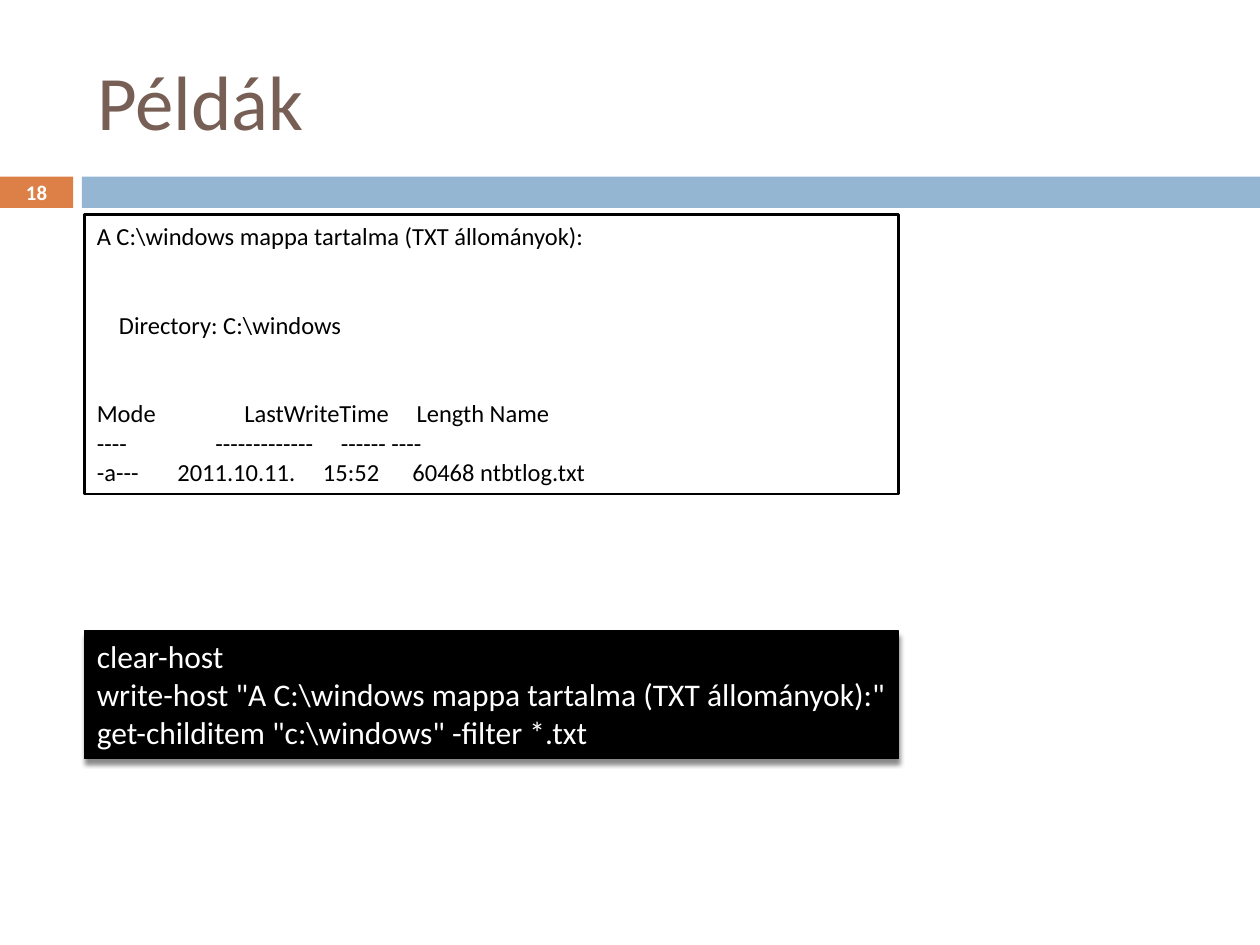
from lxml import etree
from pptx import Presentation
from pptx import util as u
from pptx.dml.color import RGBColor
from pptx.enum import shapes, text
from pptx.oxml.ns import qn

COLORS = {"orange": "DD8047", "blue": "94B6D2", "brown": "775F55",
          "white": "FFFFFF", "black": "000000"}
FONT = "Calibri"

prs = Presentation()
prs.slide_width, prs.slide_height = u.Inches(10), u.Inches(7.5)
W, H = prs.slide_width, prs.slide_height
s = prs.slides.add_slide(prs.slide_layouts[5])

LEFT = int(W * 0.067)
BAND_TOP, BAND_H = int(H * 0.187), int(H * 0.033)
NUM_W, BAR_LEFT = int(W * 0.058), int(W * 0.065)
BOX_W = int(W * 0.646)


def add_rect(left, top, width, height, fill, line=None, weight=0):
    sp = s.shapes.add_shape(shapes.MSO_SHAPE.RECTANGLE, left, top, width, height)
    sp.fill.solid()
    sp.fill.fore_color.rgb = RGBColor.from_string(COLORS[fill])
    if line:
        sp.line.color.rgb = RGBColor.from_string(COLORS[line])
        sp.line.width = u.Pt(weight)
    else:
        sp.line.fill.background()
    sp.shadow.inherit = False
    return sp


def write(p, words, size, color, bold=False, align=text.PP_ALIGN.LEFT):
    p.alignment = align
    r = p.add_run()
    r.text = words
    r.font.name = FONT
    r.font.size = u.Pt(size)
    r.font.bold = bold
    r.font.color.rgb = RGBColor.from_string(COLORS[color])


add_rect(0, BAND_TOP, NUM_W, BAND_H, "orange")
add_rect(BAR_LEFT, BAND_TOP, W - BAR_LEFT, BAND_H, "blue")

title = s.shapes.title
title.left, title.top = LEFT, int(H * 0.033)
title.width, title.height = int(W * 0.892), int(H * 0.144)
title.text_frame.vertical_anchor = text.MSO_ANCHOR.MIDDLE
write(title.text_frame.paragraphs[0], "Példák", 44, "brown")

number = s.shapes.add_textbox(0, BAND_TOP, NUM_W, BAND_H)
tf = number.text_frame
tf.word_wrap = True
tf.margin_left = tf.margin_right = tf.margin_top = tf.margin_bottom = 0
tf.vertical_anchor = text.MSO_ANCHOR.MIDDLE
write(tf.paragraphs[0], "18", 11.9, "white", True, text.PP_ALIGN.CENTER)

output = add_rect(LEFT, int(H * 0.227), BOX_W, int(H * 0.296), "white", "black", 1.5)
script = add_rect(LEFT, int(H * 0.668), BOX_W, int(H * 0.135), "black", "black", 0.79)

effects = script._element.spPr.find(qn("a:effectLst"))
shadow = etree.SubElement(effects, qn("a:outerShdw"), blurRad=str(u.Pt(3)),
                          dist=str(u.Pt(2.4)), dir="5400000", rotWithShape="0")
shade = etree.SubElement(shadow, qn("a:srgbClr"), val=COLORS["black"])
etree.SubElement(shade, qn("a:alpha"), val="45000")

output_lines = [
    ("A C:\\windows mappa tartalma (TXT állományok):", 0),
    ("    Directory: C:\\windows", 34),
    ("Mode                LastWriteTime     Length Name", 34),
    ("----                -------------     ------ ----", 0),
    ("-a---       2011.10.11.     15:52      60468 ntbtlog.txt", 0),
]
script_lines = [
    ("clear-host", 0),
    ("write-host \"A C:\\windows mappa tartalma (TXT állományok):\"", 0),
    ("get-childitem \"c:\\windows\" -filter *.txt", 0),
]

for sp, lines, size, color in ((output, output_lines, 14, "black"),
                               (script, script_lines, 18, "white")):
    tf = sp.text_frame
    tf.word_wrap = True
    tf.vertical_anchor = text.MSO_ANCHOR.TOP
    for i, (words, gap) in enumerate(lines):
        p = tf.add_paragraph() if i else tf.paragraphs[0]
        if gap:
            p.space_before = u.Pt(gap)
        write(p, words, size, color)

prs.save("out.pptx")
